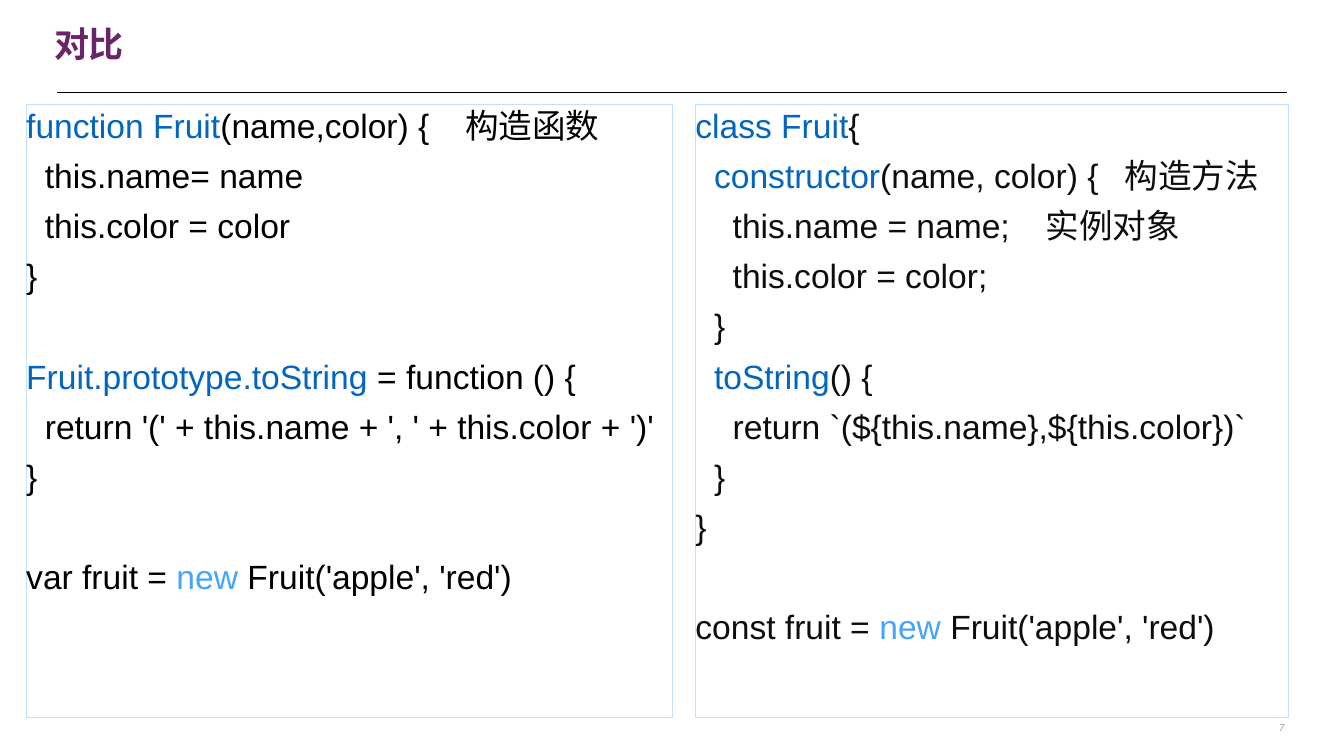
from lxml import etree
from pptx import Presentation
from pptx.dml.color import RGBColor
from pptx.enum.shapes import MSO_CONNECTOR, MSO_SHAPE
from pptx.enum.text import MSO_ANCHOR, PP_ALIGN
from pptx.oxml.ns import qn
from pptx.util import Inches, Pt

LEFT, RIGHT = PP_ALIGN.LEFT, PP_ALIGN.RIGHT
TOP, MIDDLE = MSO_ANCHOR.TOP, MSO_ANCHOR.MIDDLE
RECT, STRAIGHT = MSO_SHAPE.RECTANGLE, MSO_CONNECTOR.STRAIGHT

PURPLE = RGBColor(0x6A, 0x25, 0x69)
BLACK = RGBColor(0, 0, 0)
INK = RGBColor(0x0D, 0x0D, 0x0D)
BLUE = RGBColor(0x03, 0x65, 0xC0)
SKY = RGBColor(0x45, 0xA4, 0xFC)
PALE = RGBColor(0xC1, 0xE1, 0xFE)
GREY = RGBColor(0x92, 0x93, 0x96)

FONT = "Arial"
WIDTH, HEIGHT = 26.67, 15
PANEL_TOP, PANEL_HEIGHT = 2.08, 12.16
INDENT = 0.37  # one code level

# A code line is (level, runs, note, note position);
# a run is plain text or (text, colour).
FUNCTION_CODE = [
    (0, [("function Fruit", BLUE), "(name,color) {"], "构造函数", 8.71),
    (1, ["this.name= name"]),
    (1, ["this.color = color"]),
    (0, ["}"]),
    (0, []),
    (0, [("Fruit.prototype.toString", BLUE), " = function () {"]),
    (1, ["return '(' + this.name + ', ' + this.color + ')'"]),
    (0, ["}"]),
    (0, []),
    (0, ["var fruit = ", ("new ", SKY), "Fruit('apple', 'red')"]),
]
CLASS_CODE = [
    (0, [("class Fruit", BLUE), "{"]),
    (1, [("constructor", BLUE), "(name, color) {"], "构造方法", 8.52),
    (2, ["this.name = name;"], "实例对象", 6.95),
    (2, ["this.color = color;"]),
    (1, ["}"]),
    (1, [("toString", BLUE), "() {"]),
    (2, ["return `(${this.name},${this.color})`"]),
    (1, ["}"]),
    (0, ["}"]),
    (0, []),
    (0, ["const fruit = ", ("new ", SKY), "Fruit('apple', 'red')"]),
]


def box(*lengths):
    return [Inches(v) for v in lengths]


def set_frame(tf, anchor, inset=0, wrap=True):
    values = {"vertical_anchor": anchor, "word_wrap": wrap}
    for side in ("left", "top", "right", "bottom"):
        values["margin_" + side] = Inches(inset)
    for name, value in values.items():
        setattr(tf, name, value)


def add_run(p, text, color, size, **style):
    r = p.add_run()
    r.text = text
    for name, value in {"name": FONT, "size": Pt(size), **style}.items():
        setattr(r.font, name, value)
    r.font.color.rgb = color
    return r


def set_tabs(p, positions):
    tabs = etree.SubElement(p._p.get_or_add_pPr(), qn("a:tabLst"))
    for position in positions:
        etree.SubElement(tabs, qn("a:tab"), pos=str(Inches(position)), algn="l")


def add_code_line(p, color, level, runs, note=None, note_at=None):
    p.alignment, p.space_before = LEFT, Pt(14)
    p.font.size, p.font.name = Pt(48), FONT
    stops = [INDENT * (i + 1) for i in range(level)]
    if note:
        stops.append(note_at)
        runs = runs + ["\t" + note]
    if stops:
        set_tabs(p, stops)
    if level:
        add_run(p, "\t" * level, color, 48)
    for run in runs:
        text, run_color = (run, color) if isinstance(run, str) else run
        add_run(p, text, run_color, 48)


def add_code_panel(s, left, width, lines, color):
    sp = s.shapes.add_shape(RECT, *box(left, PANEL_TOP, width, PANEL_HEIGHT))
    sp.shadow.inherit = False
    sp.fill.background()
    sp.line.color.rgb, sp.line.width = PALE, Pt(1)
    tf = sp.text_frame
    set_frame(tf, TOP)
    for i, line in enumerate(lines):
        p = tf.add_paragraph() if i else tf.paragraphs[0]
        add_code_line(p, color, *line)


def set_title(s, text):
    sp = s.shapes.title
    sp.left, sp.top, sp.width, sp.height = box(1.08, 0.42, 24.09, 1.11)
    set_frame(sp.text_frame, MIDDLE)
    p = sp.text_frame.paragraphs[0]
    p.alignment, p.line_spacing = LEFT, 0.7
    r = add_run(p, text, PURPLE, 50, bold=True)
    r.font._element.set("spc", "-200")


def add_rule(s, x1, x2, y):
    line = s.shapes.add_connector(STRAIGHT, *box(x1, y, x2, y))
    line.line.color.rgb, line.line.width = BLACK, Pt(2)
    etree.SubElement(line._element.spPr, qn("a:effectLst"))


def add_page_number(s, number):
    sp = s.shapes.add_textbox(*box(25.29, 14.24, 0.28, 0.39))
    set_frame(sp.text_frame, TOP, inset=0.08, wrap=False)
    p = sp.text_frame.paragraphs[0]
    p.alignment = RIGHT
    add_run(p, number, GREY, 14, italic=True)


def main():
    prs = Presentation()
    prs.slide_width, prs.slide_height = box(WIDTH, HEIGHT)
    s = prs.slides.add_slide(prs.slide_layouts[5])
    # Heading
    add_rule(s, 1.13, 25.54, 1.84)
    set_title(s, "对比")
    # Code side by side
    add_code_panel(s, 0.52, 12.82, FUNCTION_CODE, BLACK)
    add_code_panel(s, 13.8, 11.76, CLASS_CODE, INK)
    # Footer
    add_page_number(s, "7")
    prs.save("out.pptx")


main()
